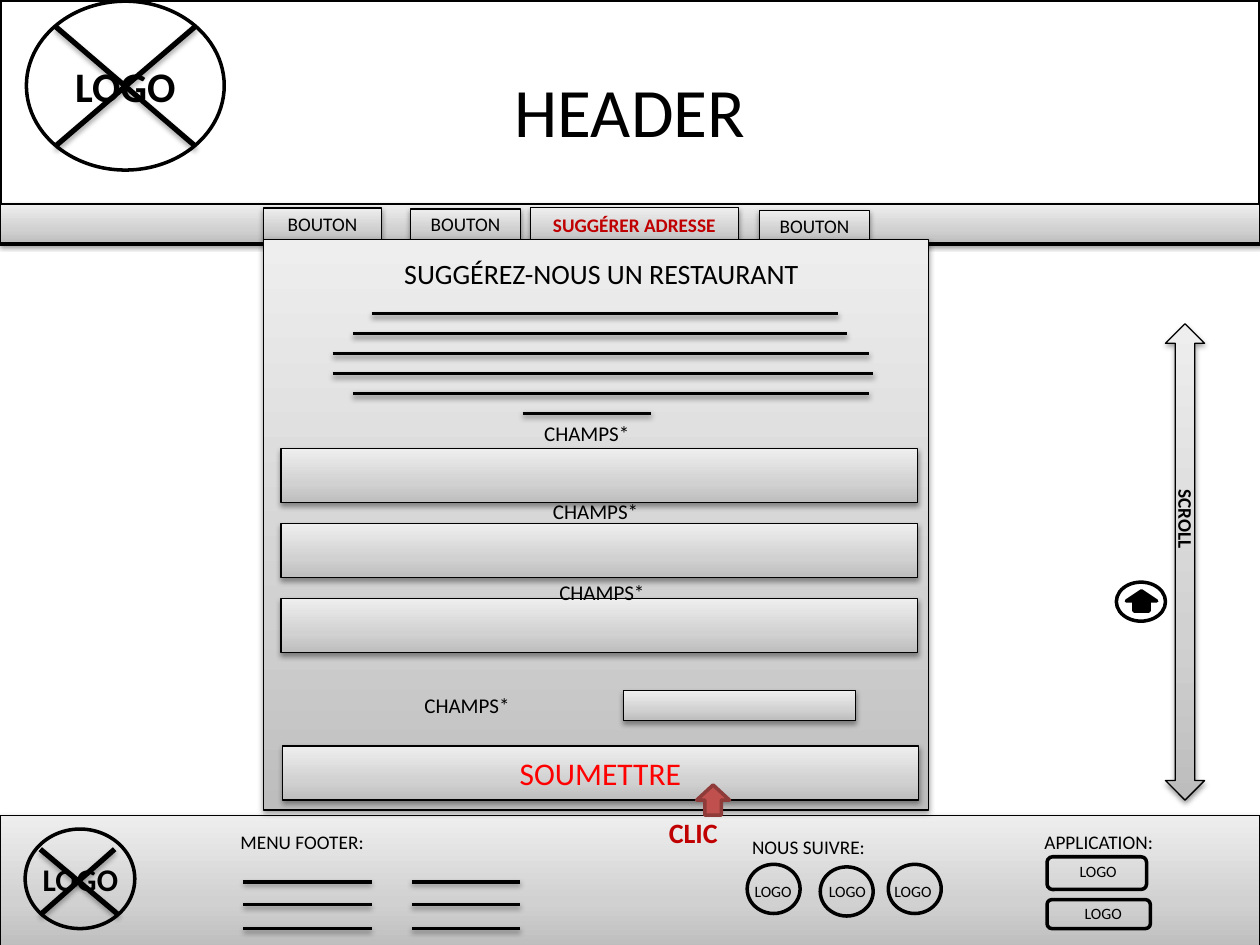
import copy
import dataclasses
import typing

import lxml.etree
import pptx
import pptx.dml.color
import pptx.enum.shapes
import pptx.enum.text
import pptx.oxml.ns
import pptx.util

Inches, Pt = pptx.util.Inches, pptx.util.Pt
Kind = pptx.enum.shapes.MSO_SHAPE
Fit = pptx.enum.text.MSO_AUTO_SIZE
Align = pptx.enum.text.PP_ALIGN
Anchor = pptx.enum.text.MSO_ANCHOR
qn = pptx.oxml.ns.qn

BLACK, WHITE, RED = "000000", "FFFFFF", "C00000"
GREYS = [("BDBDBD", 0), ("D1D1D1", 0.35), ("EEEEEE", 1)]


@dataclasses.dataclass
class Box:
    """A preset shape; the fill "grey" means a shaded gradient with shadow."""
    left: float
    top: float
    width: float
    height: float
    kind: Kind = Kind.RECTANGLE
    fill: typing.Optional[str] = "grey"
    edge: str = BLACK
    text: str = ""
    size: float = 11
    color: str = BLACK
    bold: bool = False


@dataclasses.dataclass
class Note:
    left: float
    top: float
    width: float
    height: float
    text: str
    size: float = 11
    color: str = BLACK
    bold: bool = False
    wrap: bool = True
    turn: float = 0


@dataclasses.dataclass
class Rule:
    x1: float
    y1: float
    x2: float
    y2: float
    weight: float = 2


def rgb(code: str):
    return pptx.dml.color.RGBColor.from_string(code)


def apply(target, values: dict) -> None:
    for key, value in values.items():
        setattr(target, key, value)


def shade(shape, alpha: int = 38, gap: float = 1.6) -> None:
    """Add a soft shadow that falls straight down."""
    props = shape._element.spPr
    for old in props.findall(qn("a:effectLst")):
        props.remove(old)
    effects = lxml.etree.SubElement(props, qn("a:effectLst"))
    outer = lxml.etree.SubElement(
        effects, qn("a:outerShdw"), blurRad=str(Pt(3.1)), dist=str(Pt(gap)),
        dir="5400000", rotWithShape="0")
    tint = lxml.etree.SubElement(outer, qn("a:srgbClr"), val=BLACK)
    lxml.etree.SubElement(tint, qn("a:alpha"), val=str(alpha * 1000))


def blend(shape) -> None:
    """Fill with the three greys, darkest at the bottom."""
    shape.fill.gradient()
    shape.fill.gradient_angle = 90
    stops = shape._element.spPr.find(".//" + qn("a:gsLst"))
    stops.insert(1, copy.deepcopy(stops[0]))
    for stop, (code, place) in zip(shape.fill.gradient_stops, GREYS):
        stop.color.rgb = rgb(code)
        stop.position = place


def write(frame, item, align, **layout) -> None:
    apply(frame, layout)
    line = frame.paragraphs[0]
    line.alignment = align
    run = line.add_run()
    run.text = item.text
    apply(run.font, {"name": "Calibri", "size": Pt(item.size), "bold": item.bold})
    run.font.color.rgb = rgb(item.color)


def place(item) -> list:
    return [Inches(n) for n in (item.left, item.top, item.width, item.height)]


def add_box(slide, box: Box) -> None:
    shape = slide.shapes.add_shape(box.kind, *place(box))
    shape.shadow.inherit = False
    shape.line.color.rgb = rgb(box.edge)
    shape.line.width = Pt(0.75 if box.fill == "grey" else 2)
    if box.fill == "grey":
        blend(shape)
        shade(shape)
    elif box.fill:
        shape.fill.solid()
        shape.fill.fore_color.rgb = rgb(box.fill)
    else:
        shape.fill.background()
    if box.text:
        write(shape.text_frame, box, Align.CENTER,
              word_wrap=True, vertical_anchor=Anchor.MIDDLE)


def add_note(slide, note: Note) -> None:
    area = slide.shapes.add_textbox(*place(note))
    area.rotation = note.turn
    write(area.text_frame, note, Align.LEFT,
          word_wrap=note.wrap, auto_size=Fit.SHAPE_TO_FIT_TEXT)


def add_rule(slide, rule: Rule) -> None:
    ends = [Inches(n) for n in (rule.x1, rule.y1, rule.x2, rule.y2)]
    line = slide.shapes.add_connector(pptx.enum.shapes.MSO_CONNECTOR.STRAIGHT, *ends)
    line.line.color.rgb = rgb(BLACK)
    line.line.width = Pt(rule.weight)
    shade(line, *((35, 1.8) if rule.weight == 3 else (38, 1.6)))


def add_title(slide) -> None:
    title = slide.shapes.title
    head = Note(0, 0, 10, 1.74, "HEADER", 39.6)
    apply(title, dict(zip(("left", "top", "width", "height"), place(head))))
    write(title.text_frame, head, Align.CENTER, word_wrap=True,
          auto_size=Fit.NONE, vertical_anchor=Anchor.MIDDLE)


HEADER = [
    Box(0.21, 0.01, 1.57, 1.34, Kind.OVAL, WHITE, text="LOGO", size=24, bold=True),
    Rule(0.44, 1.16, 1.55, 0.21, 3),
    Rule(0.44, 0.21, 1.55, 1.16, 3),
    Box(0, 0, 10, 1.94, fill=None),
    Box(0, 1.62, 10, 0.31),
    Box(2.09, 1.65, 0.94, 0.25, text="BOUTON"),
    Box(3.26, 1.66, 0.87, 0.24, text="BOUTON"),
    Box(4.21, 1.65, 1.65, 0.27, text="SUGGÉRER ADRESSE", color=RED, bold=True),
    Box(6.03, 1.67, 0.87, 0.24, text="BOUTON"),
]
FOOTER = [
    Box(0, 6.47, 10, 1.06),
    Box(0.2, 6.58, 0.87, 0.79, Kind.OVAL, None),
    Rule(0.32, 7.26, 0.91, 6.74, 3),
    Rule(0.32, 6.74, 0.94, 7.26, 3),
    Note(0.24, 6.78, 0.81, 0.4, "LOGO", 18, bold=True, wrap=False),
    Note(1.81, 6.54, 1.3, 0.29, "MENU FOOTER:"),
    *[Rule(x1, y, x2, y) for x1, x2 in ((1.93, 2.95), (3.27, 4.13))
      for y in (7, 7.18, 7.37)],
    Note(5.87, 6.58, 1.18, 0.29, "NOUS SUIVRE:"),
    Note(8.19, 6.54, 1.15, 0.29, "APPLICATION:"),
    *[Box(x, y, 0.42, 0.39, Kind.OVAL, None)
      for x, y in ((5.93, 6.86), (6.51, 6.88), (7.05, 6.86))],
    Box(8.31, 7.14, 0.82, 0.23, Kind.ROUNDED_RECTANGLE, None),
    Box(8.31, 6.8, 0.79, 0.26, Kind.ROUNDED_RECTANGLE, None),
    *[Note(x, y, 0.5, 0.25, "LOGO", 9, wrap=False)
      for x, y in ((5.89, 6.95), (6.48, 6.95), (7, 6.95), (8.51, 7.12), (8.47, 6.79))],
]
SCROLL = [
    Box(9.25, 2.57, 0.31, 3.78, Kind.UP_DOWN_ARROW),
    Note(8.82, 4.23, 1.18, 0.29, "SCROLL", bold=True, turn=90),
]
SPANS = [(2.95, 6.65), (2.8, 6.72), (2.64, 6.9), (2.64, 6.93), (2.8, 6.9), (4.15, 5.17)]
FORM = [
    Box(2.09, 1.9, 5.28, 4.53),
    Note(3.11, 1.99, 3.61, 0.37, "SUGGÉREZ-NOUS UN RESTAURANT", 16),
    *[Rule(x1, 2.49 + 0.158 * i, x2, 2.49 + 0.158 * i)
      for i, (x1, x2) in enumerate(SPANS)],
    *[Box(2.23, 3.56 + 0.595 * i, 5.05, 0.43) for i in range(3)],
    Box(4.95, 5.48, 1.84, 0.24),
    Box(2.24, 5.92, 5.05, 0.43, text="SOUMETTRE", size=18, color="FF0000"),
    *[Note(x, y, width, 0.3, "CHAMPS*", 12)
      for x, y, width in ((4.22, 3.29, 0.88), (4.29, 3.91, 0.88),
                          (4.34, 4.55, 0.88), (3.27, 5.45, 1.2))],
]
MARKS = [
    Box(5.53, 6.23, 0.26, 0.24, Kind.UP_ARROW, "C0504D", "8E3B39"),
    Note(5.21, 6.42, 0.66, 0.37, "CLIC", 16, RED, True),
    Box(8.86, 4.62, 0.39, 0.31, Kind.OVAL, WHITE),
    Box(8.94, 4.69, 0.24, 0.16, Kind.UP_ARROW, BLACK),
]
DRAW = {Box: add_box, Note: add_note, Rule: add_rule}


def main() -> None:
    deck = pptx.Presentation()
    apply(deck, {"slide_width": Inches(10), "slide_height": Inches(7.5)})
    slide = deck.slides.add_slide(deck.slide_layouts[5])
    add_title(slide)
    for item in HEADER + FOOTER + SCROLL + FORM + MARKS:
        DRAW[type(item)](slide, item)
    deck.save("out.pptx")


if __name__ == "__main__":
    main()
